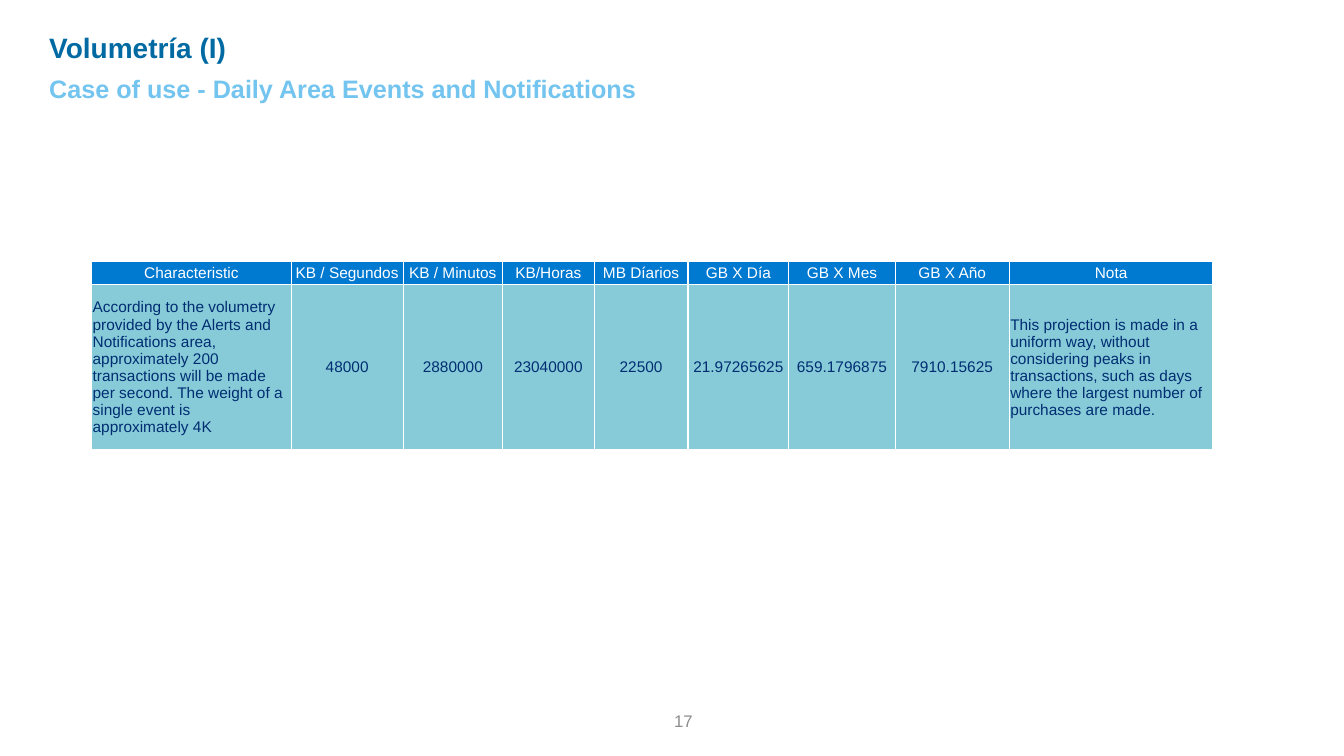
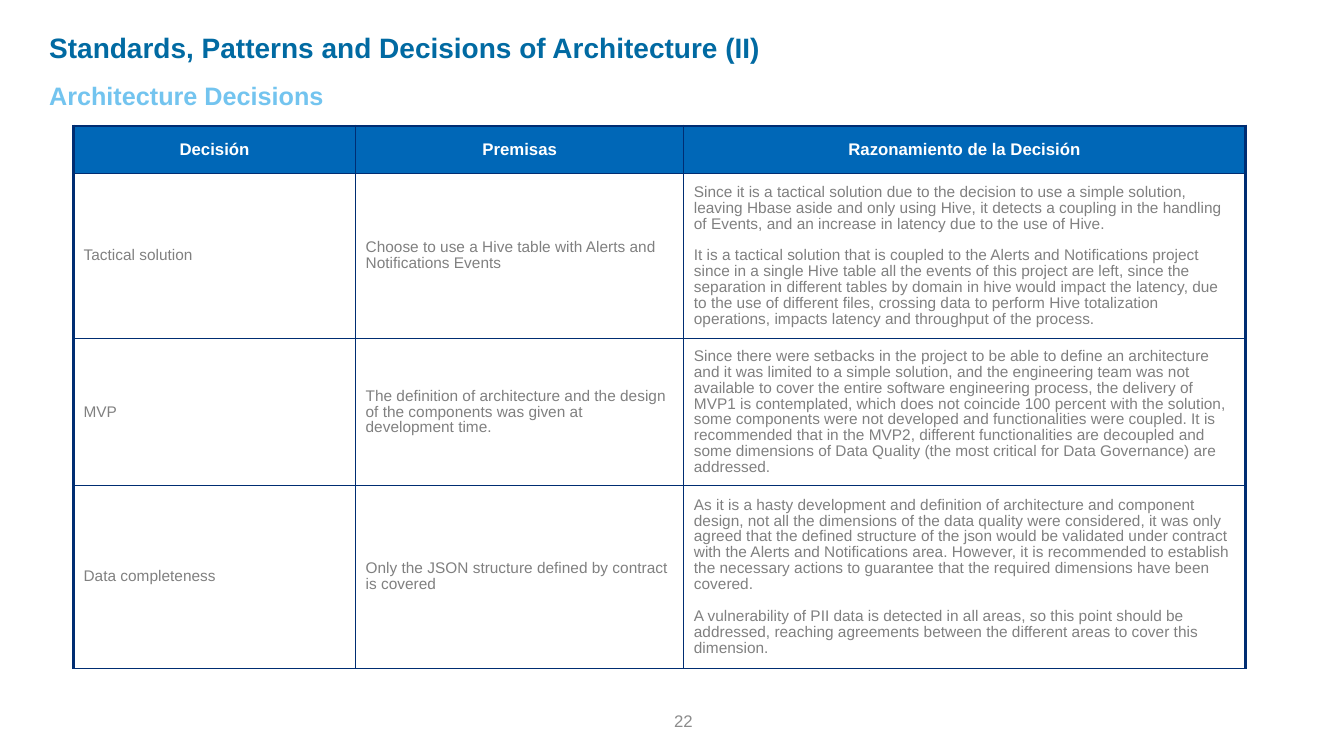
from dataclasses import dataclass

from lxml.etree import SubElement
from pptx import Presentation
from pptx.dml.color import RGBColor
from pptx.enum.text import MSO_ANCHOR, MSO_AUTO_SIZE, PP_ALIGN
from pptx.oxml.ns import qn
from pptx.util import Pt

FONT = "Arial"
NAVY = "002D72"
WHITE = "FFFFFF"
GRAY = "808080"


@dataclass(frozen=True)
class Box:
    left: float
    top: float
    width: float
    height: float


@dataclass(frozen=True)
class Type:
    size: float
    tone: str
    bold: bool = False


@dataclass(frozen=True)
class Look:
    head: Type
    body: Type
    head_fill: str
    body_fill: str | None
    edge: str
    rim: float
    pads: tuple[float, float, float, float]
    lead: float = 1.0
    gap: float = 0


@dataclass(frozen=True)
class Grid:
    left: float
    top: float
    cols: list[float]
    rows: list[float]
    cells: list[list[str]]
    look: Look


@dataclass(frozen=True)
class Page:
    title: str
    sub: str
    sub_top: float
    num: str
    grid: Grid


TITLE = Type(20, "016AA2", True)
SUB = Type(18, "73C4EF", True)
NUM = Type(12, "8C8C8C")

SIZING = Look(Type(11, WHITE), Type(11, NAVY), "0079D1", "87CBD8",
              WHITE, 1, (0.7, 0.7, 0.7, 0))
CHOICE = Look(Type(12, WHITE, True), Type(11, GRAY), "0067B7", None,
              NAVY, 2.25, (7.2, 3.6, 7.2, 3.6), 0.93, 11.4)

PAGES = [
    Page("Volumetría (I)", "Case of use - Daily Area Events and Notifications", 48.5, "17", Grid(
        65.5, 187, [142.5, 80, 71, 65.5, 67, 72, 76, 81.5, 145.5], [16, 118.5],
        [
            ["Characteristic", "KB / Segundos", "KB / Minutos", "KB/Horas", "MB Díarios",
             "GB X Día", "GB X Mes", "GB X Año", "Nota"],
            ["According to the volumetry provided by the Alerts and Notifications area, "
             "approximately 200 transactions will be made per second. The weight of a "
             "single event is approximately 4K",
             "48000", "2880000", "23040000", "22500", "21.97265625", "659.1796875", "7910.15625",
             "This projection is made in a uniform way, without considering peaks in "
             "transactions, such as days where the largest number of purchases are made."],
        ], SIZING)),
    Page("Standards, Patterns and Decisions of Architecture (II)", "Architecture Decisions",
         53.5, "22", Grid(
        52.5, 90, [201.5, 234.5, 401], [34, 118, 105, 130.5],
        [
            ["Decisión", "Premisas", "Razonamiento de la Decisión"],
            ["Tactical solution",
             "Choose to use a Hive table with Alerts and Notifications Events",
             "Since it is a tactical solution due to the decision to use a simple solution, "
             "leaving Hbase aside and only using Hive, it detects a coupling in the handling "
             "of Events, and an increase in latency due to the use of Hive.\n"
             "It is a tactical solution that is coupled to the Alerts and Notifications project "
             "since in a single Hive table all the events of this project are left, since the "
             "separation in different tables by domain in hive would impact the latency, due "
             "to the use of different files, crossing data to perform Hive totalization "
             "operations, impacts latency and throughput of the process."],
            ["MVP",
             "The definition of architecture and the design of the components was given at "
             "development time.",
             "Since there were setbacks in the project to be able to define an architecture "
             "and it was limited to a simple solution, and the engineering team was not "
             "available to cover the entire software engineering process, the delivery of "
             "MVP1 is contemplated, which does not coincide 100 percent with the solution, "
             "some components were not developed and functionalities were coupled. It is "
             "recommended that in the MVP2, different functionalities are decoupled and "
             "some dimensions of Data Quality (the most critical for Data Governance) are "
             "addressed."],
            ["Data completeness",
             "Only the JSON structure defined by contract is covered",
             "As it is a hasty development and definition of architecture and component "
             "design, not all the dimensions of the data quality were considered, it was only "
             "agreed that the defined structure of the json would be validated under contract "
             "with the Alerts and Notifications area. However, it is recommended to establish "
             "the necessary actions to guarantee that the required dimensions have been "
             "covered.\n"
             "A vulnerability of PII data is detected in all areas, so this point should be "
             "addressed, reaching agreements between the different areas to cover this "
             "dimension."],
        ], CHOICE)),
]


def tint(tone: str) -> RGBColor:
    return RGBColor.from_string(tone)


def write(frame, text: str, kind: Type, align=PP_ALIGN.LEFT,
          lead: float = 1.0, gap: float = 0) -> None:
    for i, part in enumerate(text.split("\n")):
        para = frame.add_paragraph() if i else frame.paragraphs[0]
        para.alignment = align
        para.line_spacing = lead
        para.space_before = Pt(gap if i else 0)
        run = para.add_run()
        run.text = part
        font = run.font
        font.name, font.size, font.bold = FONT, Pt(kind.size), kind.bold
        font.color.rgb = tint(kind.tone)


def place(shape, box: Box, anchor, pad: float):
    shape.left, shape.top = Pt(box.left), Pt(box.top)
    shape.width, shape.height = Pt(box.width), Pt(box.height)
    frame = shape.text_frame
    frame.word_wrap = True
    frame.auto_size = MSO_AUTO_SIZE.NONE
    frame.vertical_anchor = anchor
    frame.margin_left = frame.margin_right = Pt(pad)
    frame.margin_top = frame.margin_bottom = Pt(3.6)
    return frame


def edge(cell, side: str, tone: str, width: float) -> None:
    line = SubElement(cell._tc.get_or_add_tcPr(), qn(f"a:{side}"), w=str(Pt(width)))
    fill = SubElement(line, qn("a:solidFill"))
    SubElement(fill, qn("a:srgbClr"), val=str(tint(tone)))


def draw_grid(slide, grid: Grid) -> None:
    look = grid.look
    rows, cols = len(grid.rows), len(grid.cols)
    table = slide.shapes.add_table(rows, cols, Pt(grid.left), Pt(grid.top),
                                   Pt(sum(grid.cols)), Pt(sum(grid.rows))).table
    table.horz_banding = False
    for col, width in zip(table.columns, grid.cols):
        col.width = Pt(width)
    for row, height in zip(table.rows, grid.rows):
        row.height = Pt(height)
    for r, texts in enumerate(grid.cells):
        for c, text in enumerate(texts):
            cell = table.cell(r, c)
            rims = {"lnL": c == 0, "lnR": c == cols - 1, "lnT": r == 0, "lnB": False}
            for side, rim in rims.items():
                edge(cell, side, look.edge, look.rim if rim else 1)
            fill = look.body_fill if r else look.head_fill
            if fill:
                cell.fill.solid()
                cell.fill.fore_color.rgb = tint(fill)
            else:
                cell.fill.background()
            cell.vertical_anchor = MSO_ANCHOR.MIDDLE
            left, top, right, base = map(Pt, look.pads)
            cell.margin_left, cell.margin_top = left, top
            cell.margin_right, cell.margin_bottom = right, base
            mid = r == 0 or text[0].isdigit()
            write(cell.text_frame, text, look.body if r else look.head,
                  PP_ALIGN.CENTER if mid else PP_ALIGN.LEFT,
                  look.lead if r else 1.0, look.gap)


def draw_page(deck, page: Page) -> None:
    slide = deck.slides.add_slide(deck.slide_layouts[1])
    frame = place(slide.shapes.title, Box(31.5, 18.5, 598, 32), MSO_ANCHOR.TOP, 3.6)
    write(frame, page.title, TITLE)

    frame = place(slide.placeholders[1], Box(31.5, page.sub_top, 563, 29), MSO_ANCHOR.TOP, 3.6)
    props = frame.paragraphs[0]._p.get_or_add_pPr()
    props.set("marL", "0")
    props.set("indent", "0")
    SubElement(props, qn("a:buNone"))
    write(frame, page.sub, SUB)

    label = slide.shapes.add_textbox(0, 0, 0, 0)
    frame = place(label, Box(240.5, 500.5, 261.5, 29), MSO_ANCHOR.MIDDLE, 7.2)
    write(frame, page.num, NUM, PP_ALIGN.RIGHT)
    draw_grid(slide, page.grid)


def main() -> None:
    deck = Presentation()
    deck.slide_width, deck.slide_height = Pt(960), Pt(540)
    for page in PAGES:
        draw_page(deck, page)
    deck.save("out.pptx")


if __name__ == "__main__":
    main()
